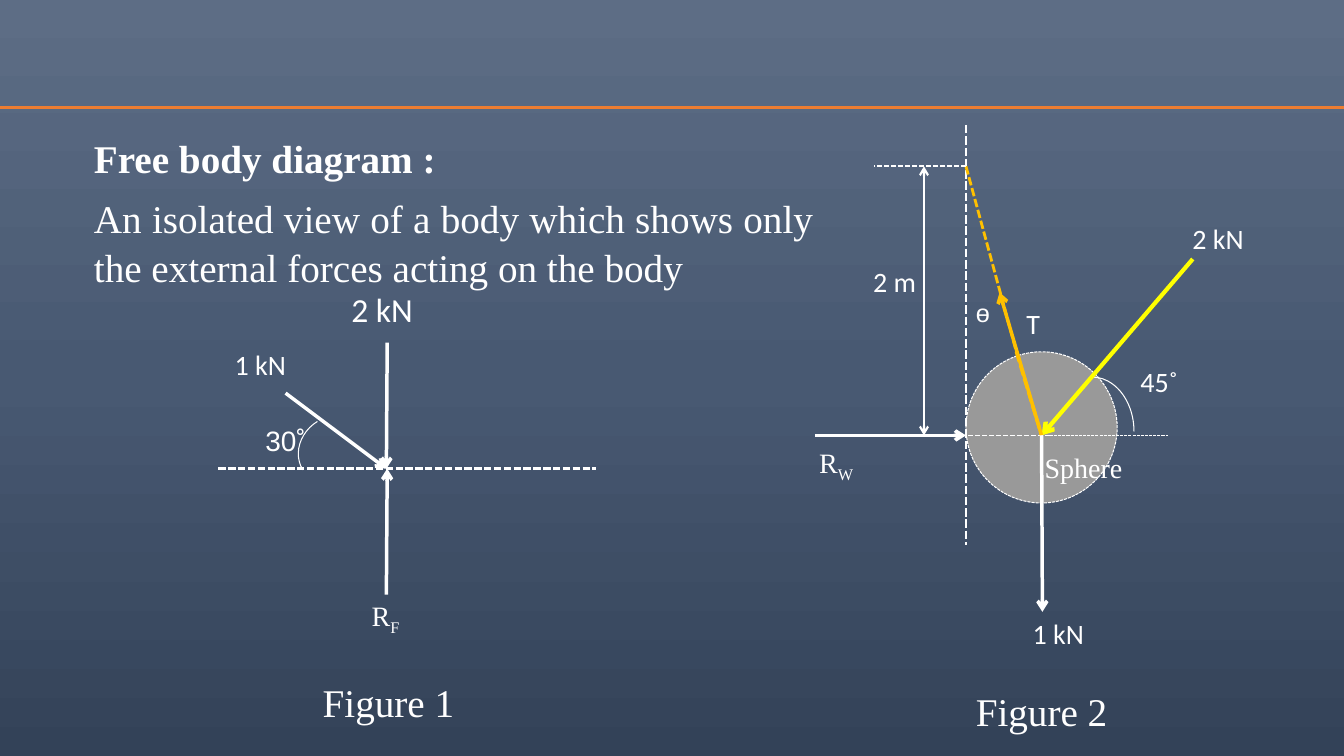
from copy import deepcopy
from dataclasses import dataclass

from lxml.etree import SubElement
from pptx import Presentation
from pptx.dml.color import RGBColor
from pptx.enum.dml import MSO_LINE
from pptx.enum.shapes import MSO_CONNECTOR, MSO_SHAPE
from pptx.enum.text import MSO_AUTO_SIZE, PP_ALIGN
from pptx.oxml.ns import qn
from pptx.util import Inches, Pt

COLS, ROWS = 160, 90  # grid cells of 1/12 inch
INK = {"white": "FFFFFF", "rule": "ED7D31", "rope": "FFC000", "load": "FFFF00",
       "ball": "999999", "top": "5D6D85", "mid": "485972", "base": "334258"}
SERIF, SANS, ARIAL = "Times New Roman", "Calibri", "Arial"

# Shared grid positions
JOINT, FLOOR = 46, 55.8            # point where the forces of figure 1 meet
WALL, HUB, AXIS = 115, 124, 51.84  # wall, sphere centre and its level
HOOK, KNOT = 19.8, 41.88           # top of the rope, top of the sphere


@dataclass
class Line:
    x1: float
    y1: float
    x2: float
    y2: float
    width: float = 2.5
    ink: str = "white"
    dash: bool = False
    ends: str = ""


@dataclass
class Label:
    text: str
    x: float
    y: float
    wide: float = 10
    size: int = 20
    font: str = SANS
    sub: str = ""


@dataclass
class Round:
    kind: MSO_SHAPE
    x: float
    y: float
    wide: float
    high: float
    fill: str = ""
    turn: float = 0


ROUNDS = [
    Round(MSO_SHAPE.OVAL, WALL, KNOT, 18, 18, fill="ball"),
    Round(MSO_SHAPE.ARC, 125, 44.88, 10, 12.96),
    Round(MSO_SHAPE.ARC, 35.88, 49.08, 8, 9, turn=238.4),
]
LINES = [
    Line(0, 12.84, COLS, 12.84, 2.25, "rule"),
    # Figure 1
    Line(26, FLOOR, 71, FLOOR, 1.75, dash=True),
    Line(34, 46.8, JOINT, FLOOR, ends="tail"),
    Line(JOINT + 0.1, 40.8, JOINT, FLOOR, ends="tail"),
    Line(JOINT, 70.8, JOINT + 0.1, FLOOR, ends="tail"),
    # Figure 2
    Line(WALL, 14.88, WALL, 64.92, 2, dash=True),
    Line(WALL, HOOK, 121, KNOT, 2, "rope", dash=True),
    Line(121, KNOT, HUB, AXIS, 2.5, "rope", dash=True),
    Line(142, 30.84, HUB, AXIS, 3, "load", ends="tail"),
    Line(125, AXIS, 139, AXIS, 0.75, dash=True),
    Line(125, AXIS, 105, AXIS, 1.25, dash=True),
    Line(WALL, HOOK, 104, HOOK, 1.25, dash=True),
    Line(110, HOOK, 110, AXIS, 1.5, ends="head tail"),
    Line(HUB, AXIS, 119, 34.8, 2.5, "rope", ends="tail"),
    Line(97, AXIS, WALL, AXIS, ends="tail"),
    Line(HUB, AXIS, HUB + 0.1, 72.84, ends="tail"),
]
LABELS = [
    # Figure 1
    Label("2 kN", 39, 33.84, 13, 24),
    Label("1 kN", 26, 40.8),
    Label("30˚", 30, 49.8, 8, font=ARIAL),
    Label("R", 40.9, 70.68, font=SERIF, sub="F"),
    Label("Figure 1", 30.24, 80.16, 32, 28, SERIF),
    # Figure 2
    Label("45˚", 134, 42.84, 8),
    Label("Sphere", 120, 53.04, 18, font=SERIF),
    Label("2 m", 101, 30.84, 11),
    Label("2 kN", 140, 25.8),
    Label("ө", 114, 34.8, 6, 18, ARIAL),
    Label("1 kN", 121, 72.84),
    Label("T", 121, 35.88, 4),
    Label("R", 94.56, 52.44, font=SERIF, sub="W"),
    Label("Figure 2", 108, 81.24, 32, 28, SERIF),
]


def unit(cells: float) -> int:
    return Inches(cells / 12)


def hue(name: str) -> RGBColor:
    return RGBColor.from_string(INK[name])


def paint(slide) -> None:
    fill = slide.background.fill
    fill.gradient()
    fill.gradient_angle = 270
    stops = next(slide.element.iter(qn("a:gsLst")))
    stops.insert(1, deepcopy(stops[0]))
    for stop, (place, name) in zip(fill.gradient_stops,
                                   [(0, "top"), (0.5, "mid"), (1, "base")]):
        stop.position = place
        stop.color.rgb = hue(name)


def draw_round(slide, item: Round) -> None:
    shape = slide.shapes.add_shape(item.kind, unit(item.x), unit(item.y),
                                   unit(item.wide), unit(item.high))
    shape.shadow.inherit = False
    shape.rotation = item.turn
    shape.line.color.rgb = hue("white")
    shape.line.width = Pt(0.75)
    if item.fill:
        shape.fill.solid()
        shape.fill.fore_color.rgb = hue(item.fill)
        shape.line.dash_style = MSO_LINE.SQUARE_DOT
    else:
        shape.fill.background()


def draw_line(slide, item: Line) -> None:
    wire = slide.shapes.add_connector(MSO_CONNECTOR.STRAIGHT, unit(item.x1), unit(item.y1),
                                      unit(item.x2), unit(item.y2))
    wire.line.color.rgb = hue(item.ink)
    wire.line.width = Pt(item.width)
    if item.dash:
        wire.line.dash_style = MSO_LINE.SQUARE_DOT
    props = wire.element.spPr
    for end in item.ends.split():
        SubElement(props.find(qn("a:ln")), qn(f"a:{end}End"), type="arrow")
    SubElement(props, qn("a:effectLst"))


def style(run, size: int, font: str, bold: bool = False) -> None:
    run.font.size = Pt(size)
    run.font.name = font
    run.font.bold = bold
    run.font.color.rgb = hue("white")


def draw_label(slide, item: Label) -> None:
    box = slide.shapes.add_textbox(unit(item.x), unit(item.y), unit(item.wide),
                                   unit(1.2 + item.size * 0.2))
    frame = box.text_frame
    frame.word_wrap = True
    frame.auto_size = MSO_AUTO_SIZE.SHAPE_TO_FIT_TEXT
    frame.text = item.text
    para = frame.paragraphs[0]
    para.alignment = PP_ALIGN.CENTER
    if item.sub:
        low = para.add_run()
        low.text = item.sub
        low.font._element.set("baseline", "-25000")
    for run in para.runs:
        style(run, item.size, item.font)


def draw_body(slide) -> None:
    frame = slide.shapes.add_textbox(unit(10), unit(15.12), unit(88), unit(25.8)).text_frame
    frame.word_wrap = True
    frame.text = ("Free body diagram :\nAn isolated view of a body which shows only "
                  "the external forces acting on the body")
    head, note = frame.paragraphs
    note.space_before = Pt(7.5)
    for para in (head, note):
        para.alignment = PP_ALIGN.JUSTIFY
        para.line_spacing = 1.05
        style(para.runs[0], 28, SERIF, para is head)


def main() -> None:
    deck = Presentation()
    deck.slide_width, deck.slide_height = unit(COLS), unit(ROWS)
    slide = deck.slides.add_slide(deck.slide_layouts[6])
    paint(slide)
    for item in ROUNDS:
        draw_round(slide, item)
    for item in LINES:
        draw_line(slide, item)
    for item in LABELS:
        draw_label(slide, item)
    draw_body(slide)
    deck.save("out.pptx")


if __name__ == "__main__":
    main()
